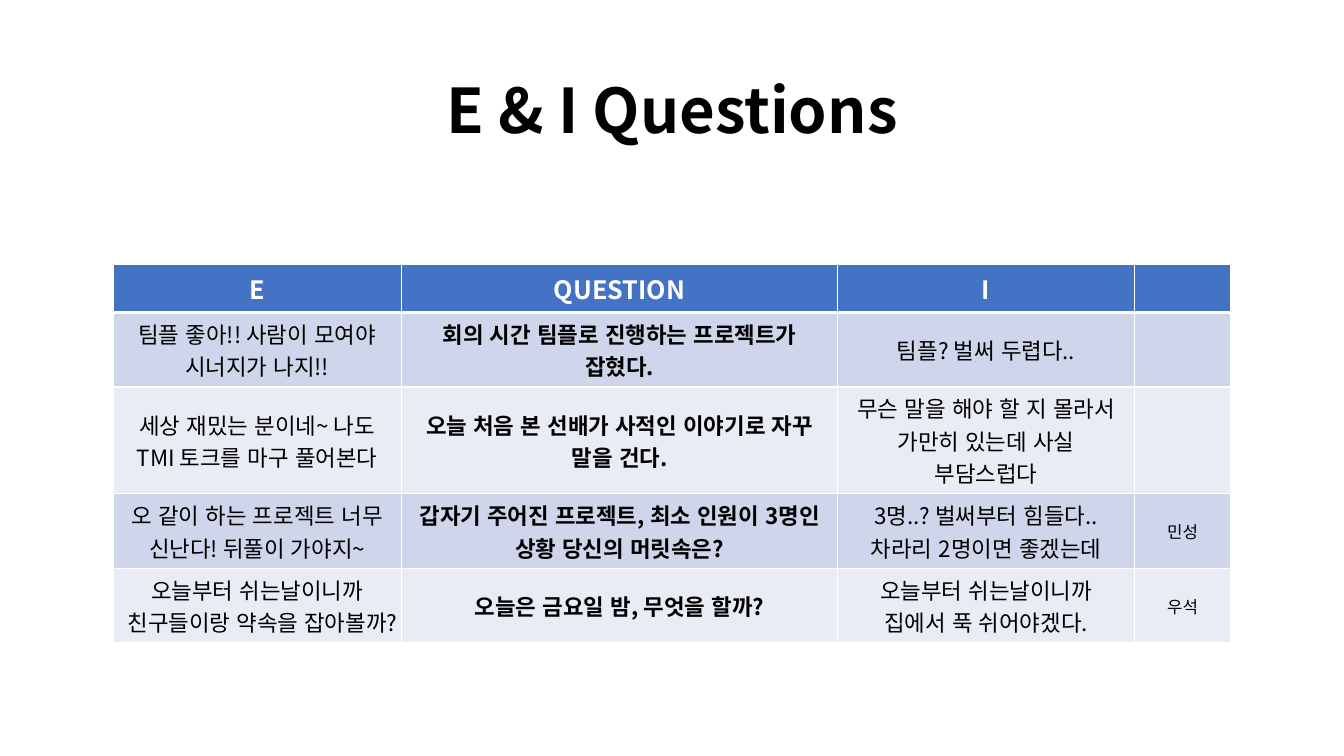
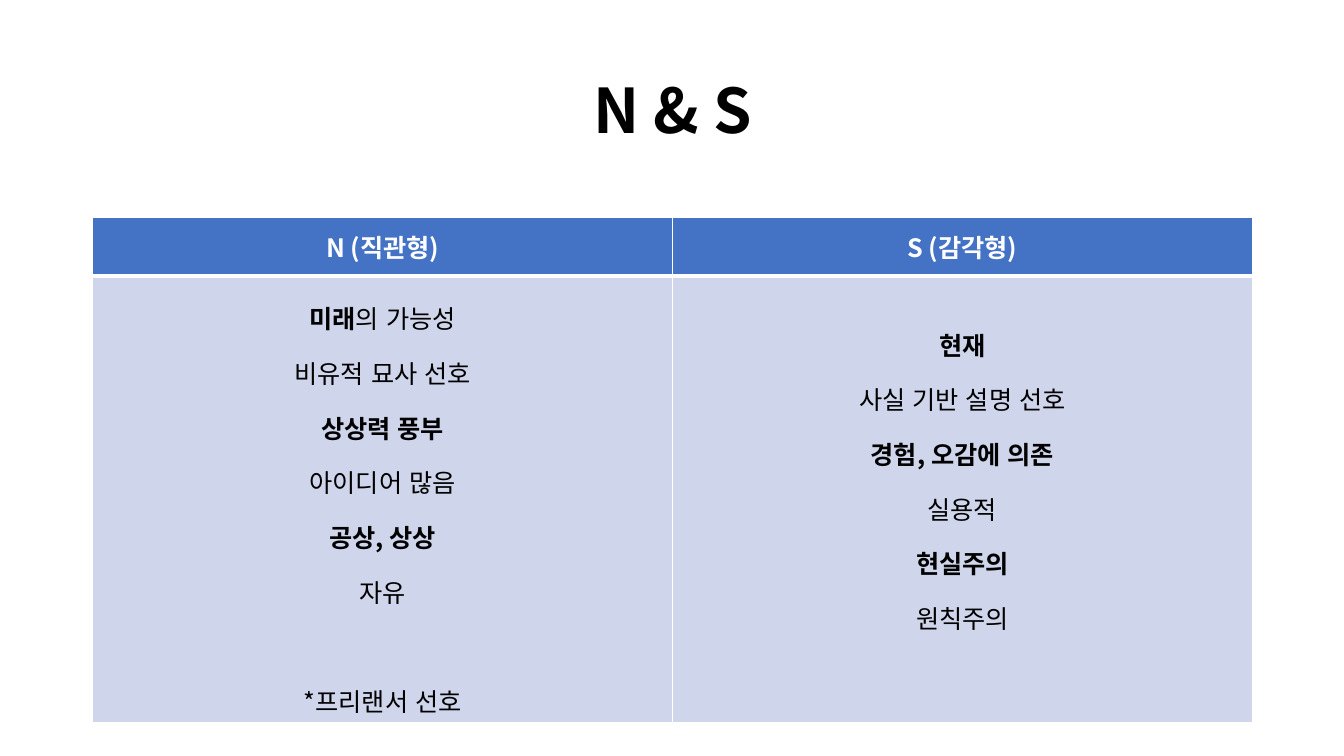
from lxml import etree
from pptx import Presentation
from pptx import util as u
from pptx.dml.color import RGBColor
from pptx.enum import lang, text
from pptx.oxml import ns

# Shared look
FONT = "Noto Sans CJK KR"
BLACK = RGBColor(0x00, 0x00, 0x00)
WHITE = RGBColor(0xFF, 0xFF, 0xFF)
HEADER_BLUE = RGBColor(0x44, 0x72, 0xC4)
BANDS = (RGBColor(0xCF, 0xD5, 0xEA), RGBColor(0xE9, 0xEB, 0xF5))
THIN, THICK = 1, 3

# Slide 1 content: E answer, question, I answer, name
QUESTION_HEADER = ("E", "QUESTION", "I", "")
QUESTION_ROWS = (
    ("팀플 좋아!! 사람이 모여야 시너지가 나지!!",
     "회의 시간 팀플로 진행하는 프로젝트가 잡혔다.",
     "팀플? 벌써 두렵다..", ""),
    ("세상 재밌는 분이네~ 나도 TMI 토크를 마구 풀어본다",
     "오늘 처음 본 선배가 사적인 이야기로 자꾸 말을 건다.",
     "무슨 말을 해야 할 지 몰라서 가만히 있는데 사실 부담스럽다", ""),
    ("오 같이 하는 프로젝트 너무 신난다! 뒤풀이 가야지~",
     "갑자기 주어진 프로젝트, 최소 인원이 3명인 상황 당신의 머릿속은?",
     "3명..? 벌써부터 힘들다.. 차라리 2명이면 좋겠는데", "민성"),
    ("오늘부터 쉬는날이니까 친구들이랑 약속을 잡아볼까?",
     "오늘은 금요일 밤, 무엇을 할까?",
     "오늘부터 쉬는날이니까 집에서 푹 쉬어야겠다.", "우석"),
)
# Size and weight of each column
QUESTION_STYLES = ((16, False), (16, True), (16, False), (12, False))

# Slide 2 content: each line is a list of (wording, bold)
TYPE_HEADER = ("N (직관형)", "S (감각형)")
INTUITION_LINES = (
    [("미래", True), ("의 가능성", False)],
    [("비유적 묘사 선호", False)],
    [("상상력 풍부", True)],
    [("아이디어 많음", False)],
    [("공상, 상상", True)],
    [("자유", False)],
    [("*프리랜서 선호", False)],
)
SENSING_LINES = (
    [("현재", True)],
    [("사실 기반 설명 선호", False)],
    [("경험, 오감에 의존", True)],
    [("실용적", False)],
    [("현실주의", True)],
    [("원칙주의", False)],
)


def add_span(para, wording, size, color, bold):
    span = para.add_run()
    span.text = wording
    font = span.font
    font.name, font.size, font.bold = FONT, u.Pt(size), bold
    font.color.rgb = color
    font.language_id = lang.MSO_LANGUAGE_ID.KOREAN
    east_asian = etree.SubElement(font._element, ns.qn("a:ea"))
    east_asian.set("typeface", FONT)


def write_lines(frame, lines, size, color, spacing=None):
    """Write centred paragraphs, each a list of (wording, bold)."""
    for index, line in enumerate(lines):
        para = frame.add_paragraph() if index else frame.paragraphs[0]
        para.alignment = text.PP_ALIGN.CENTER
        para.line_spacing = spacing
        for wording, bold in line:
            add_span(para, wording, size, color, bold)


def add_title(page, wording):
    box = page.shapes.add_textbox(
        u.Inches(0.92), u.Inches(0.4), u.Inches(11.5), u.Inches(1.45))
    frame = box.text_frame
    frame.word_wrap = True
    frame.vertical_anchor = text.MSO_ANCHOR.MIDDLE
    write_lines(frame, [[(wording, True)]], 44, BLACK, 0.9)


def set_borders(cell, top, bottom):
    """Draw white borders; they come before the fill in the cell's XML."""
    properties = cell._tc.get_or_add_tcPr()
    sides = (("L", THIN), ("R", THIN), ("T", top), ("B", bottom))
    for index, (side, width) in enumerate(sides):
        line = etree.Element(ns.qn(f"a:ln{side}"), w=str(u.Pt(width)))
        fill = etree.SubElement(line, ns.qn("a:solidFill"))
        etree.SubElement(fill, ns.qn("a:srgbClr"), val=str(WHITE))
        properties.insert(index, line)


def add_banded_table(page, left, top, widths, heights, header):
    """Add a table with a blue header row and two-tone body rows."""
    table = page.shapes.add_table(
        len(heights), len(widths), u.Inches(left), u.Inches(top),
        u.Inches(sum(widths)), u.Inches(sum(heights))).table
    for column, width in zip(table.columns, widths):
        column.width = u.Inches(width)
    for index, (row, height) in enumerate(zip(table.rows, heights)):
        row.height = u.Inches(height)
        for cell in row.cells:
            cell.vertical_anchor = text.MSO_ANCHOR.MIDDLE
            cell.fill.solid()
            cell.fill.fore_color.rgb = (
                BANDS[(index - 1) % 2] if index else HEADER_BLUE)
            set_borders(cell, THICK if index == 1 else THIN,
                        THIN if index else THICK)
    for cell, wording in zip(table.rows[0].cells, header):
        if wording:
            write_lines(cell.text_frame, [[(wording, True)]], 18, WHITE)
    return table


def build_questions(page):
    add_title(page, "E & I Questions")
    # The second body row holds three lines, the others two
    table = add_banded_table(
        page, 1.12, 2.62, (2.86, 4.33, 2.94, 0.96),
        (0.48, 0.74, 1.06, 0.74, 0.74), QUESTION_HEADER)
    for row, wordings in enumerate(QUESTION_ROWS, 1):
        for column, (size, bold) in enumerate(QUESTION_STYLES):
            wording = wordings[column]
            if wording:
                write_lines(table.cell(row, column).text_frame,
                            [[(wording, bold)]], size, BLACK)


def build_types(page):
    add_title(page, "N & S")
    table = add_banded_table(
        page, 0.92, 2.16, (5.75, 5.75), (0.58, 4.43), TYPE_HEADER)
    for column, lines in enumerate((INTUITION_LINES, SENSING_LINES)):
        write_lines(table.cell(1, column).text_frame, lines, 18, BLACK, 1.5)
    # Set the closing remark one line apart from the list
    remark = table.cell(1, 0).text_frame.paragraphs[-1]
    remark.space_before = u.Pt(39)
    # Keep one line free below the shorter list
    table.cell(1, 1).margin_bottom = u.Inches(0.6)


def main():
    deck = Presentation()
    deck.slide_width, deck.slide_height = u.Inches(13.33), u.Inches(7.5)
    blank = deck.slide_layouts[6]
    for build in (build_questions, build_types):
        build(deck.slides.add_slide(blank))
    deck.save("out.pptx")


if __name__ == "__main__":
    main()
